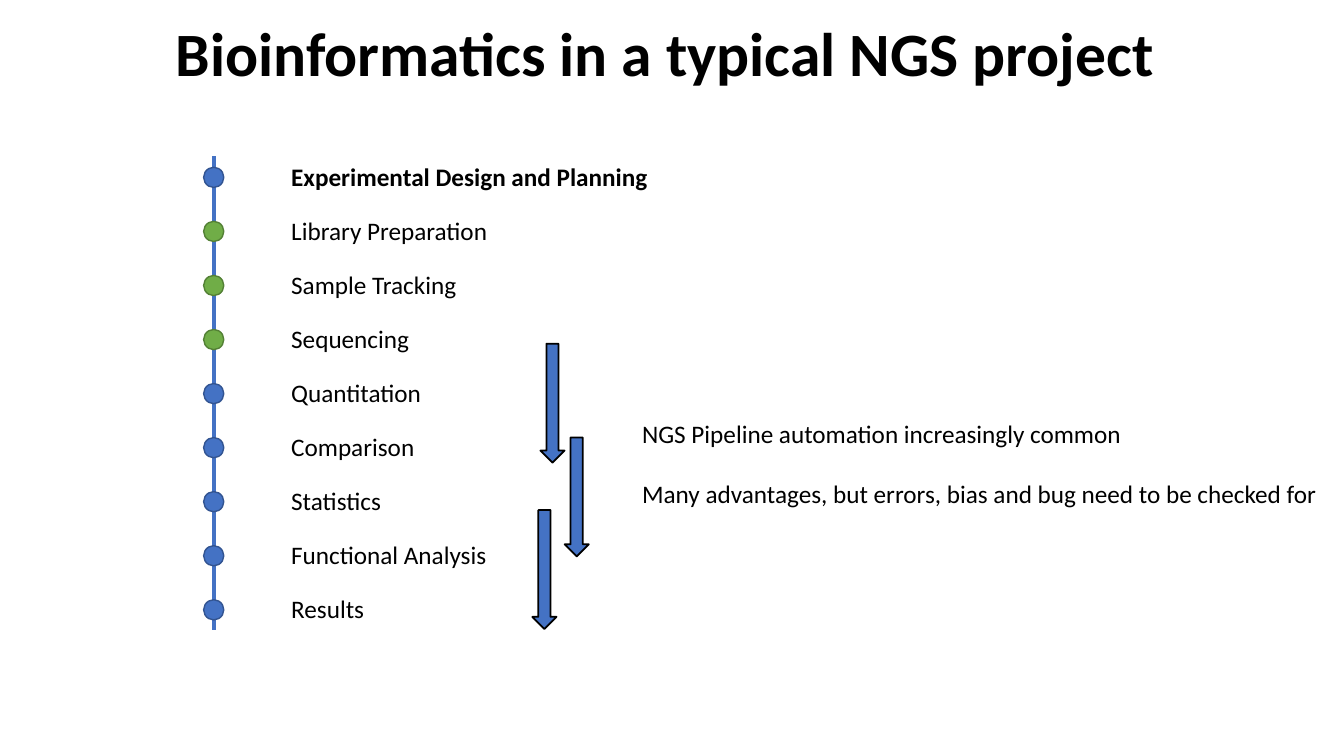
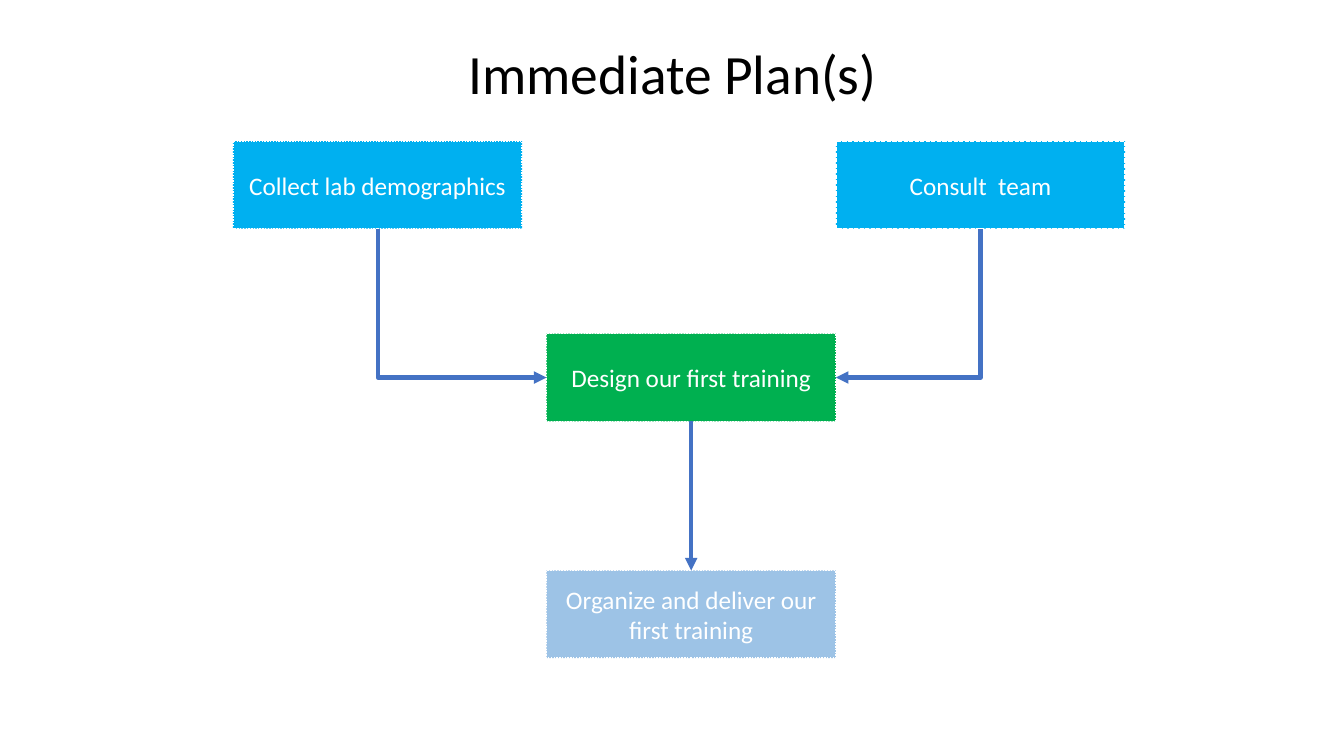
from lxml.etree import SubElement
from pptx import Presentation
from pptx.dml.color import RGBColor
from pptx.enum.dml import MSO_LINE_DASH_STYLE as Dash
from pptx.enum.shapes import MSO_CONNECTOR as Connector, MSO_SHAPE as Preset
from pptx.enum.text import MSO_ANCHOR as Anchor, MSO_AUTO_SIZE as AutoSize, PP_ALIGN as Align
from pptx.oxml.ns import qn
from pptx.util import Pt

PX = 9144  # EMU per px: 100 px to the inch
FONT = "Calibri"
COLORS = {
    "black": "000000", "white": "FFFFFF",
    "blue": "4472C4", "blue edge": "325491",
    "green": "70AD47", "green edge": "538035",
    "sky": "00B0F0", "emerald": "00B050", "pale": "9DC3E6",
}

# Content: the project timeline
PROJECT_TITLE = "Bioinformatics in a typical NGS project "
STEPS = [
    ("Experimental Design and Planning", "blue"),
    ("Library Preparation", "green"),
    ("Sample Tracking", "green"),
    ("Sequencing", "green"),
    ("Quantitation", "blue"),
    ("Comparison", "blue"),
    ("Statistics", "blue"),
    ("Functional Analysis", "blue"),
    ("Results", "blue"),
]
REMARKS = [
    "NGS Pipeline automation increasingly common",
    "Many advantages, but errors, bias and bug need to be checked for",
]
AXIS_X, AXIS_TOP, AXIS_BOTTOM = 212, 155, 625
FIRST_STEP, LAST_STEP = 155, 584
LABEL_X, LABEL_HEIGHT, DOT = 279, 40, 20
PHASE_ARROWS = [(536, 341), (560, 434), (528, 506)]
ARROW_SIZE = (24, 118)

# Content: the plan
PLAN_TITLE = "Immediate Plan(s)"
BOX_SIZE = (287, 87)
BOXES = {
    "collect": ("Collect lab demographics", 231, 140, "sky", Dash.ROUND_DOT),
    "consult": ("Consult  team", 829, 140, "sky", Dash.SQUARE_DOT),
    "design": ("Design our first training", 542, 331, "emerald", Dash.ROUND_DOT),
    "deliver": ("Organize and deliver our first training", 542, 566, "pale", Dash.ROUND_DOT),
}
TOP, LEFT, BOTTOM, RIGHT = range(4)  # connection sites of a rectangle
LINKS = [
    ("collect", "design", LEFT),
    ("consult", "design", RIGHT),
    ("deliver", "design", None),
]


def emu(*lengths):
    return [round(length * PX) for length in lengths]


def color(name):
    return RGBColor.from_string(COLORS[name])


def assign(target, values):
    for name, value in values.items():
        setattr(target, name, value)


def write(shape, paragraphs, size=18, ink="black", bold=False, align=Align.LEFT,
          frame_format=None, paragraph_format=None):
    frame = shape.text_frame
    assign(frame, frame_format or {})
    frame.text = "\n".join(paragraphs)
    for paragraph in frame.paragraphs:
        assign(paragraph, {"alignment": align, **(paragraph_format or {})})
        font = paragraph.runs[0].font
        assign(font, {"name": FONT, "size": Pt(size), "bold": bold})
        font.color.rgb = color(ink)


def add_slide(presentation, title, top, height, size, bold=False):
    slide = presentation.slides.add_slide(presentation.slide_layouts[5])
    shape = slide.shapes.title
    assign(shape, dict(zip(("left", "top", "width", "height"), emu(92, top, 1150, height))))
    write(shape, [title], size, bold=bold, align=Align.CENTER,
          frame_format={"vertical_anchor": Anchor.MIDDLE, "auto_size": AutoSize.NONE},
          paragraph_format={"line_spacing": 0.9})
    return slide


def add_label(slide, paragraphs, x, y, width, height, bold=False):
    box = slide.shapes.add_textbox(*emu(x, y, width, height))
    write(box, paragraphs, bold=bold,
          frame_format={"word_wrap": False, "auto_size": AutoSize.SHAPE_TO_FIT_TEXT})
    return box


def add_preset(slide, preset, x, y, size, fill, edge, weight=1):
    shape = slide.shapes.add_shape(preset, *emu(x, y, *size))
    shape.shadow.inherit = False
    shape.fill.solid()
    shape.fill.fore_color.rgb = color(fill)
    shape.line.color.rgb = color(edge)
    shape.line.width = Pt(weight)
    return shape


def add_line(slide, kind=Connector.STRAIGHT, ends=(0, 0, 0, 0), arrow=False):
    line = slide.shapes.add_connector(kind, *emu(*ends))
    line.line.color.rgb = color("blue")
    line.line.width = Pt(3)
    properties = line._element.spPr
    if arrow:
        SubElement(properties.find(qn("a:ln")), qn("a:tailEnd"), type="triangle")
    SubElement(properties, qn("a:effectLst"))
    return line


def bend_once(connector, from_left):
    """Go down first, then sideways: a turned two-segment connector."""
    x, y, width, height = connector.left, connector.top, connector.width, connector.height
    shift = (width - height) // 2
    assign(connector, {"left": x + shift, "top": y - shift, "width": height, "height": width})
    properties = connector._element.spPr
    properties.find(qn("a:prstGeom")).set("prst", "bentConnector2")
    transform = properties.find(qn("a:xfrm"))
    transform.set("rot", str((270 if from_left else 90) * 60000))
    transform.set("flipH", "1" if from_left else "0")


def build_project(presentation):
    slide = add_slide(presentation, PROJECT_TITLE, 9, 95, 44, bold=True)

    # Timeline with a dot and a label per step
    add_line(slide, ends=(AXIS_X, AXIS_TOP, AXIS_X, AXIS_BOTTOM))
    pitch = (LAST_STEP - FIRST_STEP) / (len(STEPS) - 1)
    for index, (step, tone) in enumerate(STEPS):
        y = FIRST_STEP + index * pitch
        add_label(slide, [step], LABEL_X, y, 376, LABEL_HEIGHT, bold=index == 0)
        add_preset(slide, Preset.OVAL, AXIS_X - DOT / 2, y + 11, (DOT, DOT),
                   tone, tone + " edge")

    # Overlapping phases and the remarks on them
    for x, y in PHASE_ARROWS:
        add_preset(slide, Preset.DOWN_ARROW, x, y, ARROW_SIZE, "blue", "black", 1.25)
    remarks = add_label(slide, REMARKS, 627, 410, 698, 101)
    remarks.text_frame.paragraphs[1].space_before = Pt(21)


def build_plan(presentation):
    slide = add_slide(presentation, PLAN_TITLE, 40, 72, 39.6)

    # Boxes
    boxes = {}
    for name, (text, x, y, fill, dash) in BOXES.items():
        box = boxes[name] = add_preset(slide, Preset.RECTANGLE, x, y, BOX_SIZE, fill, "white")
        box.line.dash_style = dash
        write(box, [text], ink="white", align=Align.CENTER,
              frame_format={"vertical_anchor": Anchor.MIDDLE, "word_wrap": True})

    # Arrows: inputs bend into the design box, which leads to delivery
    for name, hub, side in LINKS:
        bent = side is not None
        link = add_line(slide, Connector.ELBOW if bent else Connector.STRAIGHT, arrow=True)
        if bent:
            link.begin_connect(boxes[name], BOTTOM)
            link.end_connect(boxes[hub], side)
            bend_once(link, from_left=side == LEFT)
        else:
            link.begin_connect(boxes[hub], BOTTOM)
            link.end_connect(boxes[name], TOP)


def main():
    presentation = Presentation()
    presentation.slide_width, presentation.slide_height = emu(1333, 750)
    build_project(presentation)
    build_plan(presentation)
    presentation.save("out.pptx")


if __name__ == "__main__":
    main()
